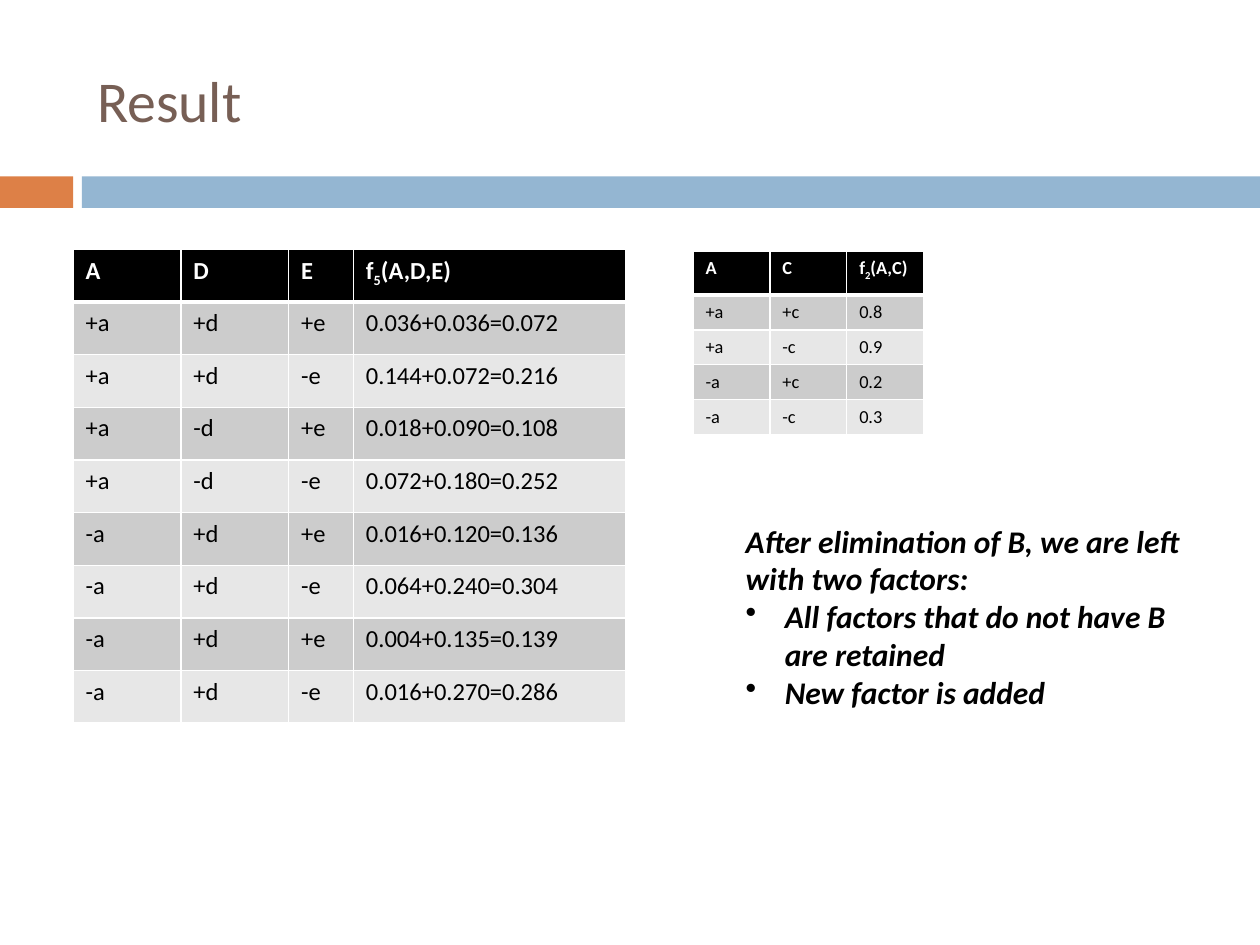
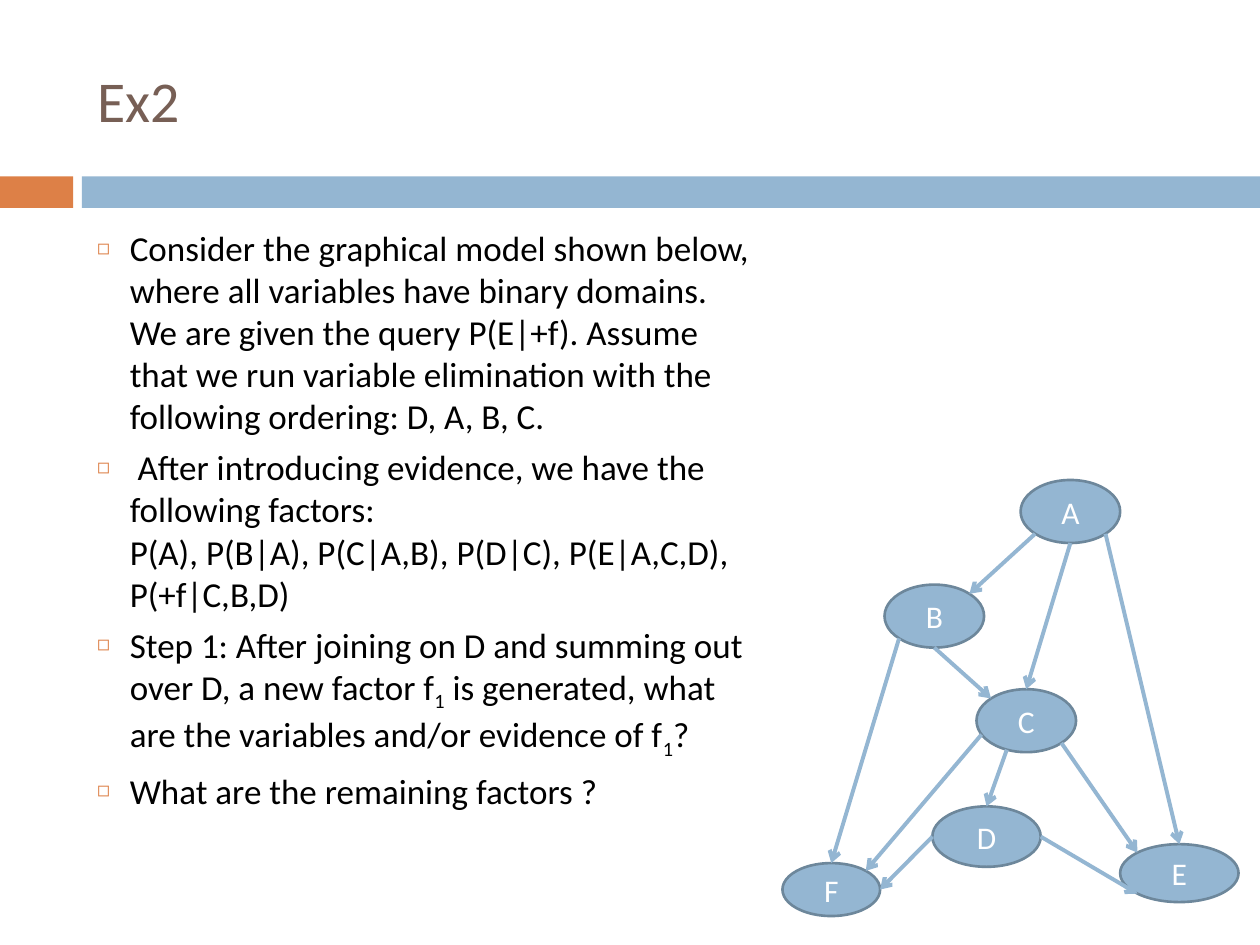
import dataclasses
import math
import typing

import lxml.etree
import pptx
import pptx.dml.color
import pptx.enum.shapes
import pptx.enum.text
import pptx.oxml.ns
import pptx.util

qn = pptx.oxml.ns.qn
RGBColor = pptx.dml.color.RGBColor
MSO_SHAPE = pptx.enum.shapes.MSO_SHAPE
MSO_ANCHOR = pptx.enum.text.MSO_ANCHOR
PP_ALIGN = pptx.enum.text.PP_ALIGN

# The slide is a grid of 100 columns by 75 rows.
SLIDE_WIDTH, SLIDE_HEIGHT = pptx.util.Inches(10), pptx.util.Inches(7.5)
COLUMN, ROW = SLIDE_WIDTH / 100, SLIDE_HEIGHT / 75


@dataclasses.dataclass(frozen=True)
class Theme:
    font: str = "Calibri"
    title: str = "775F55"
    accent: str = "DD8047"
    blue: str = "94B6D2"
    node_line: str = "6D879B"
    ink: str = "000000"
    white: str = "FFFFFF"
    odd_row: str = "CCCCCC"
    even_row: str = "E7E7E7"
    title_size: float = 33
    body_size: float = 20
    note_size: float = 18
    table_size: float = 14
    small_table_size: float = 10.5


THEME = Theme()


class Box(typing.NamedTuple):
    """A rectangle in grid columns and rows."""
    left: float
    top: float
    width: float
    height: float

    def lengths(self) -> tuple[int, int, int, int]:
        return (round(self.left * COLUMN), round(self.top * ROW),
                round(self.width * COLUMN), round(self.height * ROW))

    def rim(self, angle: float) -> tuple[int, int]:
        """Point on the inscribed ellipse, angle clockwise from the right."""
        turn = math.radians(angle)
        return (round((self.left + self.width / 2 * (1 + math.cos(turn))) * COLUMN),
                round((self.top + self.height / 2 * (1 + math.sin(turn))) * ROW))


class Band(typing.NamedTuple):
    box: Box
    color: str


class Bullet(typing.NamedTuple):
    character: str
    indent: float
    color: str
    percent: int = 100


class FactorTable(typing.NamedTuple):
    left: float
    top: float
    column_widths: list[float]
    header_height: float
    row_height: float
    size: float
    rows: list[str]


class Edge(typing.NamedTuple):
    source: str
    source_angle: float
    target: str
    target_angle: float


RIGHT, BOTTOM_RIGHT, BOTTOM, BOTTOM_LEFT, LEFT, TOP_LEFT, TOP, TOP_RIGHT = range(0, 360, 45)

TITLE_BOX = Box(6.7, 2.5, 89.2, 10.8)
BANDS = [Band(Box(0, 14, 5.8, 2.5), THEME.accent), Band(Box(6.5, 14, 93.5, 2.5), THEME.blue)]
BODY_BULLET = Bullet("◻", 0.26, THEME.accent, 60)
NOTE_BULLET = Bullet("•", 0.31, THEME.ink)

FACTOR_TABLES = [
    FactorTable(55, 19.9, [6.1, 6.1, 6.1], 3.5, 2.76, THEME.small_table_size, [
        "A C f_2(A,C)",
        "+a +c 0.8",
        "+a -c 0.9",
        "-a +c 0.2",
        "-a -c 0.3",
    ]),
    FactorTable(5.8, 19.8, [8.55, 8.55, 5.15, 21.65], 4.18, 4.18, THEME.table_size, [
        "A D E f_5(A,D,E)",
        "+a +d +e 0.036+0.036=0.072",
        "+a +d -e 0.144+0.072=0.216",
        "+a -d +e 0.018+0.090=0.108",
        "+a -d -e 0.072+0.180=0.252",
        "-a +d +e 0.016+0.120=0.136",
        "-a +d -e 0.064+0.240=0.304",
        "-a +d +e 0.004+0.135=0.139",
        "-a +d -e 0.016+0.270=0.286",
    ]),
]

ELIMINATION_NOTE = [
    "After elimination of B, we are left with two factors:",
    "All factors that do not have B are retained",
    "New factor is added",
]

EXERCISE = [
    "Consider the graphical model shown below, where all variables have binary domains. "
    "We are given the query P(E|+f). Assume that we run variable elimination with the "
    "following ordering: D, A, B, C.",
    " After introducing evidence, we have the following factors:\n"
    "P(A), P(B|A), P(C|A,B), P(D|C), P(E|A,C,D), P(+f|C,B,D)",
    "Step 1: After joining on D and summing out over D, a new factor f_1 is generated, "
    "what are the variables and/or evidence of f_1?",
    "What are the remaining factors ?",
]

NODES = {
    "A": Box(81, 38.1, 7.9, 5),
    "B": Box(70.2, 46.4, 7.9, 5),
    "C": Box(77.5, 54.7, 7.9, 5),
    "D": Box(74, 64, 8.6, 4.8),
    "E": Box(88.9, 67, 9.4, 4.6),
    "F": Box(62.1, 68.5, 7.75, 4.2),
}
EDGES = [
    Edge("A", BOTTOM, "C", TOP),
    Edge("C", 113, "D", TOP),
    Edge("A", BOTTOM_LEFT, "B", TOP_RIGHT),
    Edge("A", BOTTOM_RIGHT, "E", TOP),
    Edge("C", BOTTOM_RIGHT, "E", TOP_LEFT),
    Edge("D", RIGHT, "E", BOTTOM_LEFT),
    Edge("B", BOTTOM_LEFT, "F", TOP),
    Edge("C", 154, "F", TOP_RIGHT),
    Edge("D", LEFT, "F", RIGHT),
    Edge("B", BOTTOM, "C", TOP_LEFT),
]


def rgb(color: str) -> RGBColor:
    return RGBColor.from_string(color)


def add_child(parent, tag: str, **attributes):
    return lxml.etree.SubElement(parent, qn(tag), attributes)


def add_solid_fill(parent, color: str) -> None:
    add_child(add_child(parent, "a:solidFill"), "a:srgbClr", val=color)


def write(paragraph, text: str, size: float, color: str, bold=False, italic=False) -> None:
    """Write text; "_" lowers the next character and a newline breaks the line."""
    for line_number, line in enumerate(text.split("\n")):
        if line_number:
            paragraph.add_line_break()
        plain, *lowered = line.split("_")
        paragraph.add_run().text = plain
        for piece in lowered:
            subscript = paragraph.add_run()
            subscript.text = piece[0]
            subscript.font._element.set("baseline", "-25000")
            paragraph.add_run().text = piece[1:]
    font = paragraph.font
    font.name, font.size, font.bold, font.italic = THEME.font, pptx.util.Pt(size), bold, italic
    font.color.rgb = rgb(color)


def set_bullet(paragraph, bullet: Bullet) -> None:
    properties = paragraph._p.get_or_add_pPr()
    indent = pptx.util.Inches(bullet.indent)
    properties.set("marL", str(indent))
    properties.set("indent", str(-indent))
    add_child(add_child(properties, "a:buClr"), "a:srgbClr", val=bullet.color)
    add_child(properties, "a:buSzPct", val=str(bullet.percent * 1000))
    add_child(properties, "a:buChar", char=bullet.character)


def paragraphs_for(frame, texts: list[str]) -> list:
    return [frame.paragraphs[0]] + [frame.add_paragraph() for _ in texts[1:]]


def place(shape, box: Box) -> None:
    shape.left, shape.top, shape.width, shape.height = box.lengths()


def add_filled_shape(slide, kind, box: Box, color: str):
    shape = slide.shapes.add_shape(kind, *box.lengths())
    shape.shadow.inherit = False
    shape.fill.solid()
    shape.fill.fore_color.rgb = rgb(color)
    shape.line.fill.background()
    return shape


def move_bands_to_master(presentation, slide) -> None:
    """Draw the bands on a slide, then hand them to the master all slides share."""
    for band in BANDS:
        shape = add_filled_shape(slide, MSO_SHAPE.RECTANGLE, band.box, band.color)
        presentation.slide_master.shapes._spTree.insert(2, shape._element)


def add_titled_slide(presentation, layout_name: str, title: str):
    slide = presentation.slides.add_slide(presentation.slide_layouts.get_by_name(layout_name))
    place(slide.shapes.title, TITLE_BOX)
    frame = slide.shapes.title.text_frame
    frame.auto_size = pptx.enum.text.MSO_AUTO_SIZE.NONE
    frame.vertical_anchor = MSO_ANCHOR.MIDDLE
    frame.paragraphs[0].alignment = PP_ALIGN.LEFT
    write(frame.paragraphs[0], title, THEME.title_size, THEME.title)
    return slide


def set_borders(cell, widths: dict[str, float]) -> None:
    properties = cell._tc.get_or_add_tcPr()
    for side, width in widths.items():
        line = add_child(properties, f"a:ln{side}", w=str(pptx.util.Pt(width)))
        add_solid_fill(line, THEME.white)


def add_factor_table(slide, factor: FactorTable) -> None:
    body_count = len(factor.rows) - 1
    box = Box(factor.left, factor.top, sum(factor.column_widths),
              factor.header_height + body_count * factor.row_height)
    table = slide.shapes.add_table(
        len(factor.rows), len(factor.column_widths), *box.lengths()).table
    for column, width in zip(table.columns, factor.column_widths):
        column.width = round(width * COLUMN)
    for index, (row, values) in enumerate(zip(table.rows, factor.rows)):
        header = index == 0
        row.height = round((factor.header_height if header else factor.row_height) * ROW)
        fill = THEME.ink if header else THEME.odd_row if index % 2 else THEME.even_row
        for cell, value in zip(row.cells, values.split()):
            set_borders(cell, {"L": 1, "R": 1, "T": 3 if index == 1 else 1,
                               "B": 3 if header else 1})
            cell.fill.solid()
            cell.fill.fore_color.rgb = rgb(fill)
            write(cell.text_frame.paragraphs[0], value, factor.size,
                  THEME.white if header else THEME.ink, bold=header)


def add_node(slide, name: str, box: Box):
    node = add_filled_shape(slide, MSO_SHAPE.OVAL, box, THEME.blue)
    node.line.color.rgb = rgb(THEME.node_line)
    node.line.width = pptx.util.Pt(1.5)
    node.text_frame.vertical_anchor = MSO_ANCHOR.MIDDLE
    paragraph = node.text_frame.paragraphs[0]
    paragraph.alignment = PP_ALIGN.CENTER
    write(paragraph, name, THEME.note_size, THEME.white)
    return node


def add_edge(slide, edge: Edge, nodes: dict) -> None:
    """Draw an arrow, glued wherever an end meets one of an oval's eight sites."""
    connector = slide.shapes.add_connector(
        pptx.enum.shapes.MSO_CONNECTOR.STRAIGHT,
        *NODES[edge.source].rim(edge.source_angle), *NODES[edge.target].rim(edge.target_angle))
    connector.line.color.rgb = rgb(THEME.blue)
    connector.line.width = pptx.util.Pt(2.25)
    add_child(connector.line._get_or_add_ln(), "a:tailEnd", type="arrow")
    add_child(connector._element.spPr, "a:effectLst")
    glue = connector._element.find(".//" + qn("p:cNvCxnSpPr"))
    for tag, name, angle in (("a:stCxn", edge.source, edge.source_angle),
                             ("a:endCxn", edge.target, edge.target_angle)):
        if angle % 45 == 0:
            site = (TOP - angle) // 45 % 8
            add_child(glue, tag, id=str(nodes[name].shape_id), idx=str(site))


def build_result(presentation) -> None:
    slide = add_titled_slide(presentation, "Title Only", "Result")
    move_bands_to_master(presentation, slide)
    for factor in FACTOR_TABLES:
        add_factor_table(slide, factor)
    frame = slide.shapes.add_textbox(*Box(58.2, 40.9, 39.2, 16.2).lengths()).text_frame
    frame.word_wrap = True
    for index, paragraph in enumerate(paragraphs_for(frame, ELIMINATION_NOTE)):
        if index:
            set_bullet(paragraph, NOTE_BULLET)
        write(paragraph, ELIMINATION_NOTE[index], THEME.note_size, THEME.ink, bold=True, italic=True)


def build_exercise(presentation) -> None:
    slide = add_titled_slide(presentation, "Title and Content", "Ex2")
    body = slide.placeholders[1]
    place(body, Box(6.7, 17.5, 54, 49.2))
    body.text_frame.auto_size = pptx.enum.text.MSO_AUTO_SIZE.NONE
    for paragraph, text in zip(paragraphs_for(body.text_frame, EXERCISE), EXERCISE):
        paragraph.space_before = pptx.util.Pt(5.2)
        set_bullet(paragraph, BODY_BULLET)
        write(paragraph, text, THEME.body_size, THEME.ink)
    nodes = {name: add_node(slide, name, box) for name, box in NODES.items()}
    for edge in EDGES:
        add_edge(slide, edge, nodes)


def main() -> None:
    presentation = pptx.Presentation()
    presentation.slide_width, presentation.slide_height = SLIDE_WIDTH, SLIDE_HEIGHT
    build_result(presentation)
    build_exercise(presentation)
    presentation.save("out.pptx")


if __name__ == "__main__":
    main()
